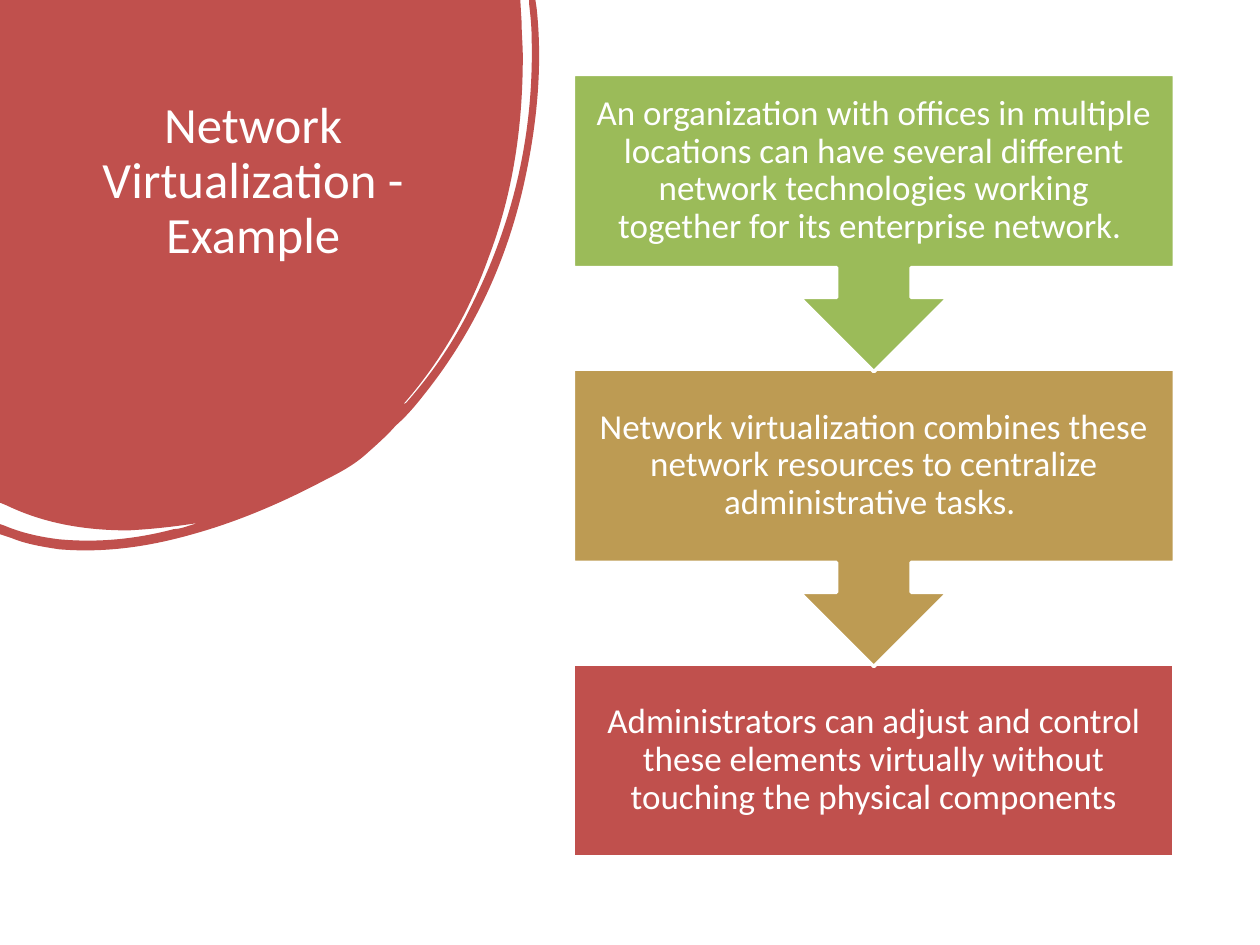
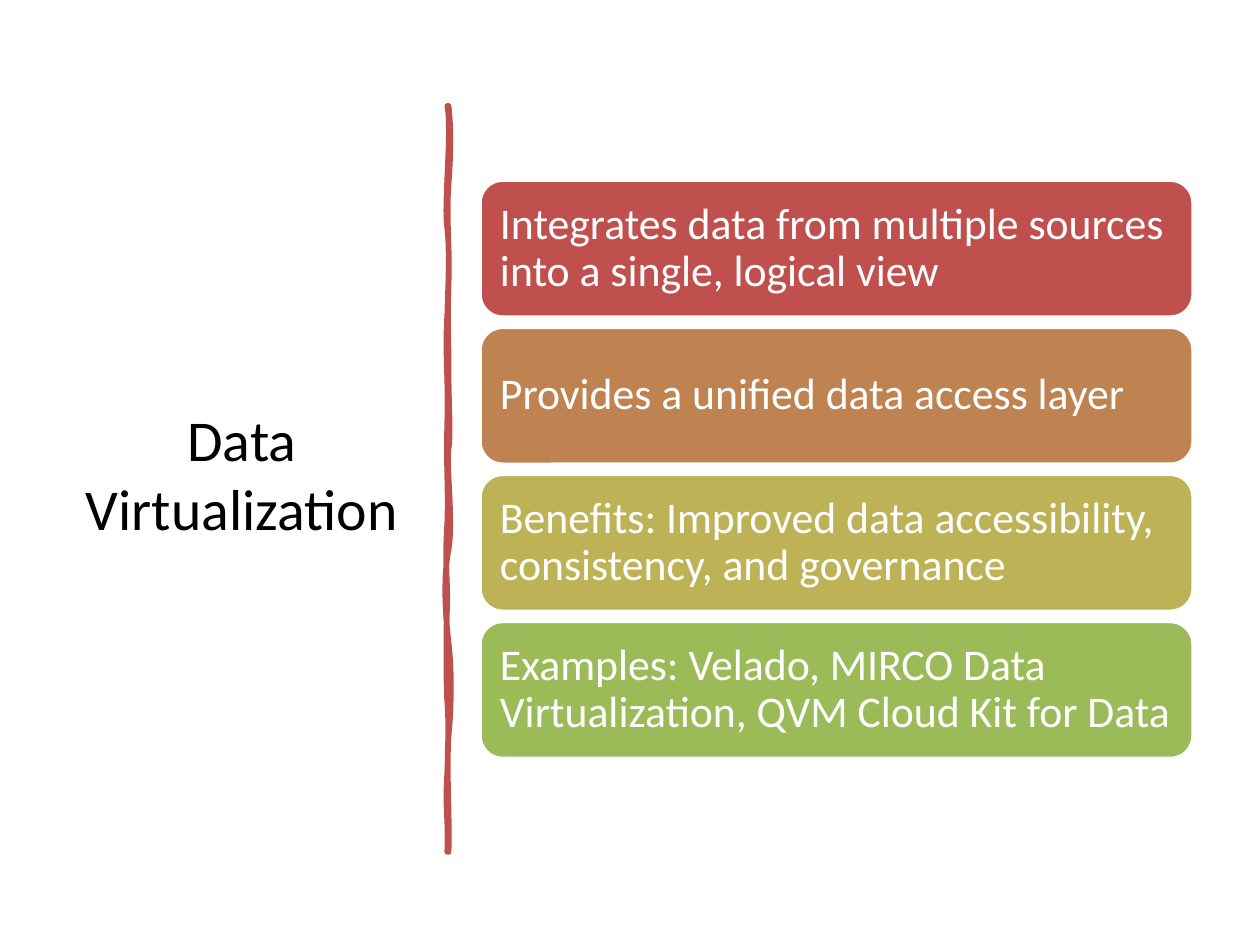
from lxml import etree
from pptx import Presentation
from pptx.dml.color import RGBColor
from pptx.enum.shapes import MSO_SHAPE
from pptx.enum.text import MSO_ANCHOR, MSO_AUTO_SIZE, PP_ALIGN
from pptx.oxml.ns import qn
from pptx.util import Inches, Pt

RECTANGLE = MSO_SHAPE.RECTANGLE
ROUNDED = MSO_SHAPE.ROUNDED_RECTANGLE
CALLOUT = MSO_SHAPE.UP_ARROW_CALLOUT
TOP, MIDDLE = MSO_ANCHOR.TOP, MSO_ANCHOR.MIDDLE
LEFT, CENTER = PP_ALIGN.LEFT, PP_ALIGN.CENTER
NO_AUTOFIT = MSO_AUTO_SIZE.NONE

FONT = "Calibri"
WHITE = RGBColor(0xFF, 0xFF, 0xFF)
BLACK = RGBColor(0x00, 0x00, 0x00)
RED = RGBColor(0xC0, 0x50, 0x4D)
ORANGE = RGBColor(0xBE, 0x83, 0x51)
GOLD = RGBColor(0xBD, 0x9B, 0x53)
OLIVE = RGBColor(0xBD, 0xB2, 0x55)
GREEN = RGBColor(0x9B, 0xBB, 0x59)
TITLE_ONLY = 5

FLOW_STEPS = [
    ("An organization with offices in multiple locations can have several different "
     "network technologies working together for its enterprise network. ", GREEN),
    ("Network virtualization combines these network resources to centralize "
     "administrative tasks. ", GOLD),
    ("Administrators can adjust and control these elements virtually without "
     "touching the physical components", RED),
]
CARDS = [
    ("Integrates data from multiple sources into a single, logical view", RED),
    ("Provides a unified data access layer", ORANGE),
    ("Benefits: Improved data accessibility, consistency, and governance", OLIVE),
    ("Examples: Velado, MIRCO Data Virtualization, QVM Cloud Kit for Data", GREEN),
]

# Each outline is a start point followed by lines (2 numbers) and curves (6 numbers).
BLOB = [
    (0, 0), (4.13, 0), (4.14, 0.17),
    (4.14, 0.26, 4.15, 0.36, 4.15, 0.45), (4.15, 1.01, 4.07, 1.54, 3.88, 2.04),
    (3.72, 2.49, 3.49, 2.88, 3.2, 3.21), (3.22, 3.21, 3.23, 3.19, 3.24, 3.18),
    (3.44, 2.95, 3.62, 2.69, 3.76, 2.39), (4.07, 1.76, 4.24, 1.07, 4.22, 0.3),
    (4.22, 0.21, 4.21, 0.12, 4.2, 0.03), (4.2, 0), (4.25, 0), (4.26, 0.07),
    (4.31, 0.54, 4.26, 1.02, 4.15, 1.5), (4, 2.14, 3.73, 2.68, 3.36, 3.14),
    (3.29, 3.23, 3.22, 3.31, 3.14, 3.38), (3.07, 3.46, 2.99, 3.53, 2.9, 3.61),
    (2.81, 3.69, 2.7, 3.75, 2.58, 3.81), (2.24, 3.99, 1.89, 4.14, 1.53, 4.24),
    (1.18, 4.34, 0.83, 4.39, 0.47, 4.36), (0.34, 4.34, 0.21, 4.32, 0.09, 4.27),
    (0, 4.24), (0, 4.16), (0.03, 4.17), (0.17, 4.23, 0.31, 4.26, 0.46, 4.28),
    (0.77, 4.31, 1.08, 4.28, 1.38, 4.2), (1.41, 4.2, 1.45, 4.19, 1.48, 4.18),
    (1.51, 4.17, 1.54, 4.16, 1.58, 4.15), (1.39, 4.18, 1.21, 4.2, 1.02, 4.21),
    (0.69, 4.21, 0.36, 4.16, 0.05, 4.01), (0, 3.99),
]
STROKE_EDGE = [
    (0.04, 0), (0.06, 0.18, 0.06, 0.35, 0.04, 0.62),
    (0.02, 0.89, 0.05, 1.11, 0.04, 1.42), (0.03, 1.73, 0.04, 1.78, 0.04, 2.1),
    (0.04, 2.41, 0.06, 2.58, 0.04, 2.72), (0.02, 2.86, 0.08, 3.3, 0.04, 3.52),
    (0, 3.73, 0.01, 4, 0.04, 4.26), (0.07, 4.52, 0.06, 4.8, 0.04, 5),
    (0.02, 5.19, 0.05, 5.66, 0.04, 5.92), (0.04, 5.91, 0.03, 5.91, 0.03, 5.92),
    (0.04, 5.62, 0.01, 5.6, 0.03, 5.29), (0.04, 4.99, 0.04, 4.86, 0.03, 4.73),
    (0.02, 4.6, 0.02, 4.11, 0.03, 3.93), (0.03, 3.75, 0.01, 3.61, 0.03, 3.31),
    (0.04, 3.02, 0.02, 2.89, 0.03, 2.51), (0.04, 2.14, 0.01, 1.97, 0.03, 1.66),
    (0.04, 1.34, 0.05, 1.16, 0.03, 0.97), (0, 0.79, 0.07, 0.2, 0.03, 0),
    (0.03, 0, 0.03, 0, 0.04, 0),
]
STROKE_CORE = [
    (0.04, 0), (0.05, 0.31, 0.02, 0.41, 0.04, 0.68),
    (0.07, 0.95, 0.03, 1.13, 0.04, 1.24), (0.05, 1.36, 0.03, 1.71, 0.04, 2.1),
    (0.05, 2.49, 0.02, 2.59, 0.04, 2.78), (0.06, 2.97, 0.07, 3.13, 0.04, 3.46),
    (0.02, 3.79, 0.04, 3.9, 0.04, 4.32), (0.04, 4.73, 0.03, 4.69, 0.04, 4.94),
    (0.05, 5.19, 0.03, 5.63, 0.04, 5.92), (0.04, 5.92, 0.03, 5.92, 0.03, 5.92),
    (0, 5.65, 0.03, 5.48, 0.03, 5.29), (0.02, 5.11, 0.05, 4.85, 0.03, 4.55),
    (0.01, 4.26, 0.06, 4.16, 0.03, 3.87), (0, 3.58, 0.06, 3.36, 0.03, 3.02),
    (-0.01, 2.67, 0.04, 2.41, 0.03, 2.16), (0.01, 1.91, 0.01, 1.75, 0.03, 1.54),
    (0.04, 1.32, 0.04, 1.01, 0.03, 0.8), (0.01, 0.59, 0.05, 0.37, 0.03, 0),
    (0.03, 0, 0.04, 0, 0.04, 0),
]


def paint(shape, fill, line=None, line_width=2):
    """Set fill and line, with no line when it is None."""
    shape.shadow.inherit = False
    shape.fill.solid()
    shape.fill.fore_color.rgb = fill
    if line is None:
        shape.line.fill.background()
    else:
        shape.line.color.rgb = line
        shape.line.width = Pt(line_width)


def add_outlines(slide, left, top, outlines):
    """Draw one freeform from pairs of a curved outline and its attributes."""
    corners = [(Inches(left + segment[-2]), Inches(top + segment[-1]))
               for segment in outlines[0][0]]
    builder = slide.shapes.build_freeform(*corners[0], scale=1.0)
    builder.add_line_segments(corners[1:], close=True)
    shape = builder.convert_to_shape()
    contours = next(shape.element.iter(qn("a:pathLst")))
    for contour in list(contours):
        contours.remove(contour)
    for outline, attributes in outlines:
        contour = etree.SubElement(contours, qn("a:path"), w=str(shape.width),
                                   h=str(shape.height), **attributes)
        for index, segment in enumerate(outline):
            tag = "a:cubicBezTo" if len(segment) == 6 else "a:lnTo"
            command = etree.SubElement(contour, qn(tag if index else "a:moveTo"))
            for x, y in zip(segment[::2], segment[1::2]):
                etree.SubElement(command, qn("a:pt"),
                                 x=str(Inches(left + x) - shape.left),
                                 y=str(Inches(top + y) - shape.top))
        etree.SubElement(contour, qn("a:close"))
    return shape


def write(shape, text, size, color=WHITE, align=CENTER, anchor=MIDDLE,
          margins=(0.1, 0.05), spacing=0.9):
    """Fill a shape with one formatted paragraph."""
    frame = shape.text_frame
    frame.word_wrap = True
    frame.auto_size = NO_AUTOFIT
    frame.vertical_anchor = anchor
    frame.margin_left = frame.margin_right = Inches(margins[0])
    frame.margin_top = frame.margin_bottom = Inches(margins[1])
    paragraph = frame.paragraphs[0]
    paragraph.alignment = align
    paragraph.line_spacing = spacing
    run = paragraph.add_run()
    run.text = text
    run.font.name = FONT
    run.font.size = Pt(size)
    run.font.color.rgb = color


def set_title(slide, box, text, size, **style):
    """Place the title placeholder in front of what is drawn so far."""
    title = slide.shapes.title
    title.left, title.top, title.width, title.height = map(Inches, box)
    title.element.getparent().append(title.element)
    write(title, text, size, **style)


def add_label(slide, left, top, width, height, text, size, **style):
    """Add a text box holding one paragraph."""
    label = slide.shapes.add_textbox(*map(Inches, (left, top, width, height)))
    write(label, text, size, **style)


def add_flow(slide, left, top, width, height, steps):
    """Stack boxes from the last up, each but the last with a down arrow."""
    box_height = 1.53
    pitch = (height - box_height) / (len(steps) - 1)
    for index, (text, color) in reversed(list(enumerate(steps))):
        is_last = index == len(steps) - 1
        step_top = top + index * pitch
        shape = slide.shapes.add_shape(
            RECTANGLE if is_last else CALLOUT, Inches(left), Inches(step_top),
            Inches(width), Inches(box_height if is_last else pitch + 0.02))
        shape.rotation = 0 if is_last else 180
        paint(shape, color, WHITE)
        add_label(slide, left, step_top, width, box_height, text, 20,
                  margins=(0.16, 0.16))


def add_cards(slide, left, top, width, height, cards):
    """Stack equal rounded cards over the height of the box."""
    gap, inset = 0.08, 0.06
    card_height = (height - gap * (len(cards) - 1)) / len(cards)
    for index, (text, color) in enumerate(cards):
        card_top = top + index * (card_height + gap)
        card = slide.shapes.add_shape(
            ROUNDED, Inches(left), Inches(card_top), Inches(width), Inches(card_height))
        paint(card, color, WHITE)
        add_label(slide, left + inset, card_top + inset, width - 2 * inset,
                  card_height - 2 * inset, text, 25, align=LEFT, margins=(0.1, 0.1))


def build_network_slide(slide):
    """Title on a red blob beside a three-step flow."""
    paint(add_outlines(slide, 0, 0, [(BLOB, {})]), RED)
    set_title(slide, (0.69, 0.74, 2.64, 2.22), "Network Virtualization - Example", 29,
              anchor=TOP)
    add_flow(slide, 4.55, 0.59, 4.77, 6.21, FLOW_STEPS)


def build_data_slide(slide):
    """Title and hand-drawn divider beside four cards."""
    set_title(slide, (0.52, 0.7, 2.8, 6.11), "Data Virtualization", 33,
              color=BLACK, spacing=1.0)
    divider = add_outlines(slide, 3.52, 0.84, [(STROKE_EDGE, {"fill": "none"}),
                                               (STROKE_CORE, {"stroke": "0"})])
    paint(divider, RED, RED, 3.25)
    add_cards(slide, 3.81, 1.43, 5.66, 4.59, CARDS)


def main():
    """Build and save the presentation."""
    presentation = Presentation()
    presentation.slide_width = Inches(10)
    presentation.slide_height = Inches(7.5)
    layout = presentation.slide_layouts[TITLE_ONLY]
    for build in (build_network_slide, build_data_slide):
        build(presentation.slides.add_slide(layout))
    presentation.save("out.pptx")


if __name__ == "__main__":
    main()
